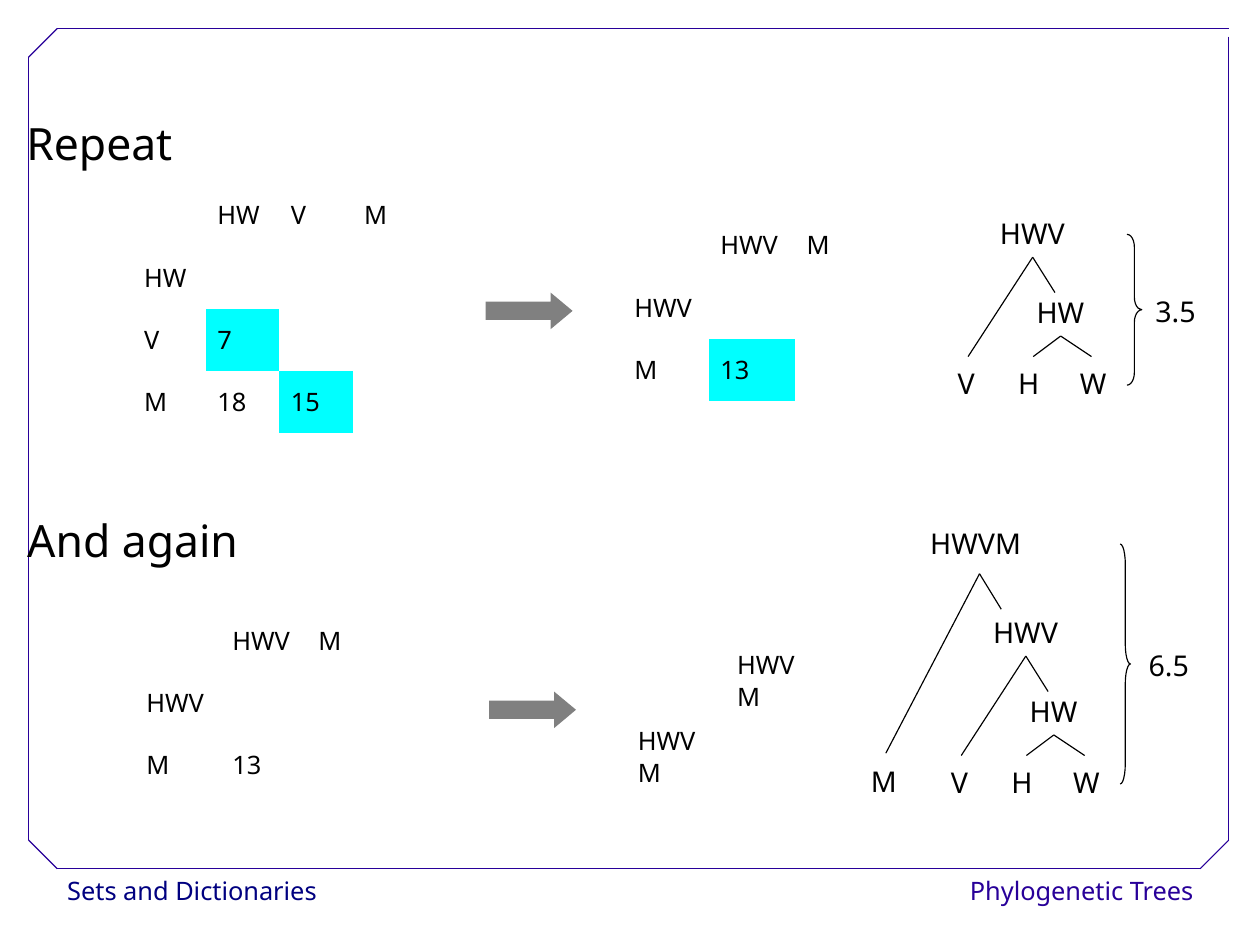
from itertools import product

from lxml import etree
from pptx import Presentation
from pptx.dml.color import RGBColor
from pptx.enum import shapes, text
from pptx.oxml import ns
from pptx.util import Cm, Inches, Pt

FONT = "Noto Sans"
BLACK = RGBColor(0x00, 0x00, 0x00)
NAVY = RGBColor(0x00, 0x00, 0x80)
INDIGO = RGBColor(0x28, 0x00, 0x99)
GRAY = RGBColor(0x80, 0x80, 0x80)
CYAN = RGBColor(0x00, 0xFF, 0xFF)
PLAIN_TABLE_STYLE = "{2D5ABB26-0587-4C30-8999-92F81FD0307C}"
LABEL_WIDTHS = {"H": 0.38, "W": 0.43, "V": 0.35, "M": 0.42, "HW": 0.62,
                "HWV": 0.77, "HWVM": 0.99, "3.5": 0.55, "6.5": 0.55}


def write_line(frame, words, size, color=BLACK, spacing=0.93):
    frame.text = words
    paragraph = frame.paragraphs[0]
    paragraph.alignment = text.PP_ALIGN.LEFT
    paragraph.line_spacing = spacing
    font = paragraph.font
    font.name, font.size, font.color.rgb = FONT, Pt(size), color
    return paragraph


def fix_frame(frame):
    """Keep the text on one line, starting at the top of its box."""
    frame.word_wrap = False
    frame.auto_size = text.MSO_AUTO_SIZE.NONE
    frame.vertical_anchor = text.MSO_ANCHOR.TOP


def add_words(slide, words, left, top, width, height, size, **style):
    box = slide.shapes.add_textbox(
        Inches(left), Inches(top), Inches(width), Inches(height))
    fix_frame(box.text_frame)
    write_line(box.text_frame, words, size, **style)
    return box


def add_label(slide, words, left, top):
    return add_words(slide, words, left, top, LABEL_WIDTHS[words], 0.38, 18)


def add_line(slide, start, end, color=BLACK):
    line = slide.shapes.add_connector(
        shapes.MSO_CONNECTOR.STRAIGHT, *map(Inches, start + end))
    line.line.color.rgb = color
    line.line.width = Pt(0.75)
    etree.SubElement(line._element.spPr, ns.qn("a:effectLst"))
    return line


def add_frame(slide, left, top, right, bottom, cut=0.25):
    """Border with three cut corners and a small gap at the top right."""
    edges = [
        ((left + cut, top), (right, top)),
        ((right, top + 0.07), (right, bottom - cut)),
        ((right, bottom - cut), (right - cut, bottom)),
        ((right - cut, bottom), (left + cut, bottom)),
        ((left + cut, bottom), (left, bottom - cut)),
        ((left, bottom - cut), (left, top + cut)),
        ((left, top + cut), (left + cut, top)),
    ]
    for start, end in edges:
        add_line(slide, start, end, INDIGO)


def add_footer(slide, top):
    add_words(slide, "Sets and Dictionaries", 0.49, top, 2.4, 0.4, 16,
              color=NAVY, spacing=1.02)
    topic = add_words(slide, "Phylogenetic Trees", 8.34, top, 2.2, 0.4, 16,
                      color=INDIGO, spacing=1.02)
    topic.text_frame.paragraphs[0].alignment = text.PP_ALIGN.RIGHT


def add_distances(slide, left, top, width, height, names, distances,
                  nearest=(), row_height=None):
    """Distance matrix; distances and nearest are keyed by (row, column)."""
    size = len(names) + 1
    frame = slide.shapes.add_table(
        size, size, Inches(left), Inches(top), Inches(width), Inches(height))
    table = frame.table
    table.first_row = table.horz_banding = False
    next(frame._element.iter(ns.qn("a:tableStyleId"))).text = PLAIN_TABLE_STYLE
    if row_height:
        for row in table.rows:
            row.height = Inches(row_height)
        frame.height = Inches(height)
    entries = dict(distances)
    for index, name in enumerate(names, 1):
        entries[0, index] = entries[index, 0] = name
    for place in product(range(size), repeat=2):
        cell = table.cell(*place)
        cell.vertical_anchor = text.MSO_ANCHOR.MIDDLE
        if place in nearest:
            cell.fill.solid()
            cell.fill.fore_color.rgb = CYAN
        else:
            cell.fill.background()
        paragraph = write_line(cell.text_frame, entries.get(place, ""), 16)
        paragraph.space_after = Pt(14.2)


def add_step_arrow(slide, left, top):
    arrow = slide.shapes.add_shape(
        shapes.MSO_SHAPE.RIGHT_ARROW,
        Inches(left), Inches(top), Inches(0.76), Inches(0.32))
    arrow.adjustments[1] = 0.6
    arrow.shadow.inherit = False
    arrow.fill.solid()
    arrow.fill.fore_color.rgb = GRAY
    arrow.line.fill.background()


def add_hwv_tree(slide, left, top):
    def at(x, y):
        return left + x, top + y

    hwv = add_label(slide, "HWV", *at(0.37, 0))
    hw = add_label(slide, "HW", *at(0.69, 0.69))
    for leaf, x in (("V", 0), ("H", 0.53), ("W", 1.07)):
        add_label(slide, leaf, *at(x, 1.31))
    branches = [
        (hwv, (0.76, 0.38), (0.19, 1.25)),
        (hwv, (0.76, 0.38), (0.95, 0.69)),
        (hw, (1.01, 1.07), (0.76, 1.25)),
        (hw, (1.01, 1.07), (1.27, 1.25)),
    ]
    for parent, start, end in branches:
        add_line(slide, at(*start), at(*end)).begin_connect(parent, 2)


def add_root(slide, left, top):
    """Join M to the HWV tree under a new root."""
    add_label(slide, "HWVM", left + 0.52, top)
    add_label(slide, "M", left, top + 2.08)
    apex = (left + 1.05, top + 0.44)
    add_line(slide, apex, (left + 0.23, top + 2.01))
    add_line(slide, apex, (left + 1.24, top + 0.75))


def add_depth(slide, depth, left, top, width, height):
    brace = slide.shapes.add_shape(
        shapes.MSO_SHAPE.RIGHT_BRACE,
        Inches(left), Inches(top), Inches(width), Inches(height))
    brace.adjustments[0] = height / 12 / width
    brace.shadow.inherit = False
    brace.fill.background()
    brace.line.color.rgb = BLACK
    brace.line.width = Pt(0.75)
    add_label(slide, depth, left + 0.15, top + height / 2 - 0.16)


def add_repeat_step(slide):
    title = slide.shapes.title
    title.left, title.top = Inches(0.13), Inches(0.73)
    title.width, title.height = Inches(2.47), Inches(0.8)
    fix_frame(title.text_frame)
    write_line(title.text_frame, "Repeat", 28, spacing=1.5)
    add_distances(slide, 1.16, 1.61, 2.57, 2.18, ["HW", "V", "M"],
                  {(2, 1): "7", (3, 1): "18", (3, 2): "15"},
                  nearest=[(2, 1), (3, 2)])
    add_step_arrow(slide, 4.25, 2.56)
    add_distances(slide, 5.45, 1.87, 2.26, 1.64, ["HWV", "M"],
                  {(2, 1): "13"}, nearest=[(2, 1)])
    add_hwv_tree(slide, 8.28, 1.87)
    add_depth(slide, "3.5", 9.86, 2.05, 0.13, 1.32)


def add_again_step(slide):
    add_words(slide, "And again", 0.14, 4.21, 3.04, 0.8, 28, spacing=1.5)
    add_distances(slide, 1.18, 5.33, 2.26, 1.64, ["HWV", "M"],
                  {(2, 1): "13"})
    add_step_arrow(slide, 4.28, 6.05)
    add_distances(slide, 5.48, 5.63, 1.74, 1.09, ["HWVM"], {},
                  row_height=0.6)
    add_hwv_tree(slide, 8.22, 5.36)
    add_root(slide, 7.52, 4.58)
    add_depth(slide, "6.5", 9.8, 4.76, 0.09, 2.1)


def main():
    deck = Presentation()
    deck.slide_width = Cm(28)
    deck.slide_height = Cm(21)
    slide = deck.slides.add_slide(deck.slide_layouts.get_by_name("Title Only"))
    add_footer(slide, 7.6)
    add_frame(slide, 0.25, 0.25, 10.75, 7.6)
    add_repeat_step(slide)
    add_again_step(slide)
    deck.save("out.pptx")


if __name__ == "__main__":
    main()
